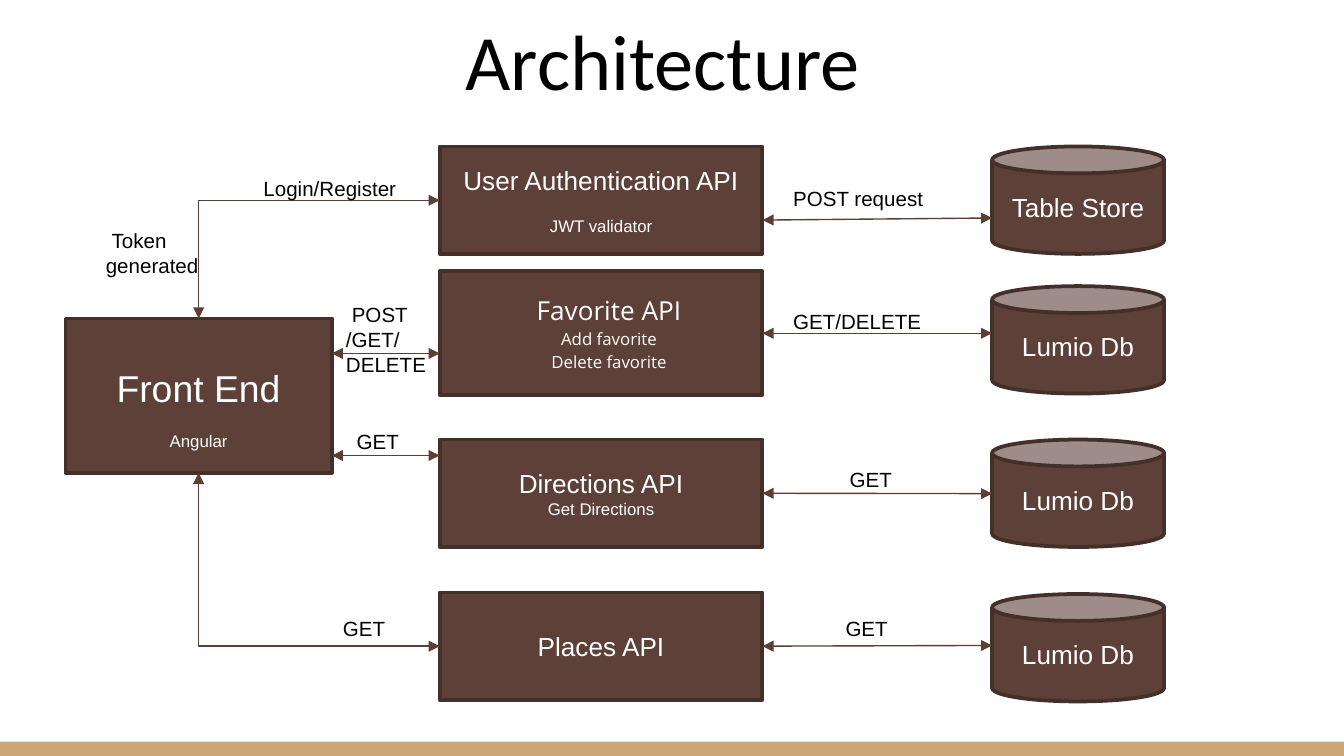
"""Build the Architecture slide: a front end, four APIs and their data stores."""
from dataclasses import dataclass

from lxml import etree
from pptx import Presentation
from pptx.dml.color import RGBColor
from pptx.enum.shapes import MSO_CONNECTOR, MSO_SHAPE
from pptx.enum.text import MSO_ANCHOR, MSO_AUTO_SIZE, PP_ALIGN
from pptx.oxml.ns import qn
from pptx.util import Cm, Pt

RECTANGLE, CAN = MSO_SHAPE.RECTANGLE, MSO_SHAPE.CAN
STRAIGHT, ELBOW = MSO_CONNECTOR.STRAIGHT, MSO_CONNECTOR.ELBOW
CENTER, LEFT_ALIGN = PP_ALIGN.CENTER, PP_ALIGN.LEFT
MIDDLE, BOTTOM, TOP_ANCHOR = MSO_ANCHOR.MIDDLE, MSO_ANCHOR.BOTTOM, MSO_ANCHOR.TOP
NO_FIT = MSO_AUTO_SIZE.NONE
TOP, LEFT, BOTTOM_SIDE, RIGHT = range(4)


@dataclass(frozen=True)
class Theme:
    fill: RGBColor = RGBColor.from_string("5D4037")
    outline: RGBColor = RGBColor.from_string("452F29")
    arrow: RGBColor = RGBColor.from_string("5C3E35")
    bar: RGBColor = RGBColor.from_string("CCA677")
    light: RGBColor = RGBColor.from_string("FFFFFF")
    dark: RGBColor = RGBColor.from_string("000000")
    title: Pt = Pt(42)
    large: Pt = Pt(20)
    heading: Pt = Pt(14)
    label: Pt = Pt(11)
    detail: Pt = Pt(9)
    body_font: str = "Arial"
    title_font: str = "Calibri"
    favorite_font: str = "Open Sans"


theme = Theme()


def add_box(kind, left, top, width, height, lines, font=theme.body_font, **spacing):
    box = page.shapes.add_shape(kind, Cm(left), Cm(top), Cm(width), Cm(height))
    box.shadow.inherit = False
    box.fill.solid()
    box.fill.fore_color.rgb = theme.fill
    box.line.color.rgb = theme.outline
    box.line.width = Pt(2)
    frame = box.text_frame
    frame.word_wrap = True
    frame.vertical_anchor = MIDDLE
    for index, (text, size) in enumerate(lines):
        para = frame.add_paragraph() if index else frame.paragraphs[0]
        para.alignment = CENTER
        if index:
            for name, value in spacing.items():
                setattr(para, name, value)
        span = para.add_run()
        span.text = text
        for name, value in {"name": font, "size": size}.items():
            setattr(span.font, name, value)
        span.font.color.rgb = theme.light
    return box


def add_arrow(kind, start_x, start_y, end_x, end_y):
    arrow = page.shapes.add_connector(kind, Cm(start_x), Cm(start_y), Cm(end_x), Cm(end_y))
    arrow.line.color.rgb = theme.arrow
    arrow.line.width = Pt(0.75)
    line = arrow.line._get_or_add_ln()
    for end in ("a:headEnd", "a:tailEnd"):
        etree.SubElement(line, qn(end), type="triangle")
    properties = arrow._element.spPr
    etree.SubElement(properties, qn("a:effectLst"))
    if kind == ELBOW:
        properties.find(qn("a:prstGeom")).set("prst", "bentConnector2")
    return arrow


deck = Presentation()
deck.slide_width, deck.slide_height = Cm(25.4), Cm(14.29)
page = deck.slides.add_slide(deck.slide_layouts[5])

bar = page.shapes.add_shape(RECTANGLE, 0, Cm(14.02), deck.slide_width, Cm(0.27))
bar.shadow.inherit = False
bar.fill.solid()
bar.fill.fore_color.rgb = theme.bar
bar.line.fill.background()

title = page.shapes.title
for name, value in {"left": 0.69, "top": -0.05, "width": 23.67, "height": 2.31}.items():
    setattr(title, name, Cm(value))
frame = title.text_frame
frame.text = "Architecture"
title_format = {"auto_size": NO_FIT, "vertical_anchor": BOTTOM}
title_format.update({f"margin_{side}": Cm(0.25) for side in ("left", "top", "right", "bottom")})
for name, value in title_format.items():
    setattr(frame, name, value)
para = frame.paragraphs[0]
para.alignment = CENTER
for name, value in {"name": theme.title_font, "size": theme.title}.items():
    setattr(para.runs[0].font, name, value)
para.runs[0].font.color.rgb = theme.dark

front_left, front_top, front_width, front_height = 1.24, 6.02, 5.03, 2.92
api_left, api_width, row_height = 8.31, 6.1, 2.03
store_left, store_width = 18.75, 3.25
front_right, api_right = front_left + front_width, api_left + api_width

front_end = add_box(RECTANGLE, front_left, front_top, front_width, front_height,
                    [("Front End", theme.large), ("Angular", theme.detail)],
                    space_before=Pt(11))
front_end.text_frame.margin_top = Cm(0.6)

authentication = add_box(RECTANGLE, api_left, 2.77, api_width, row_height,
                         [("User Authentication API", theme.heading),
                          ("JWT validator", theme.detail)], space_before=Pt(11))
favorite = add_box(RECTANGLE, api_left, 5.13, api_width, 2.34,
                   [("Favorite API", theme.heading), ("Add favorite", theme.detail),
                    ("Delete favorite", theme.detail)],
                   font=theme.favorite_font, line_spacing=1.15)
favorite.text_frame.margin_left = Cm(0.55)
directions = add_box(RECTANGLE, api_left, 8.31, api_width, row_height,
                     [("Directions API", theme.heading), ("Get Directions", theme.detail)])
places = add_box(RECTANGLE, api_left, 11.2, api_width, row_height,
                 [("Places API", theme.heading)])

for text, top in (("Table Store", 2.77), ("Lumio Db", 5.41),
                  ("Lumio Db", 8.31), ("Lumio Db", 11.23)):
    add_box(CAN, store_left, top, store_width, row_height, [(text, theme.heading)])

add_arrow(STRAIGHT, api_right, 4.16, store_left, 4.12)
for api, start_y, end_y in ((favorite, 6.3, 6.3), (directions, 9.33, 9.33),
                            (places, 12.22, 12.2)):
    add_arrow(STRAIGHT, api_right, start_y, store_left, end_y).begin_connect(api, RIGHT)

for level in (6.68, 8.61):
    add_arrow(STRAIGHT, front_right, level, api_left, level)

front_middle = front_left + front_width / 2
for api, level, side, end_y in ((authentication, 3.79, TOP, front_top),
                                (places, 12.22, BOTTOM_SIDE, front_top + front_height)):
    arrow = add_arrow(ELBOW, api_left, level, front_middle, end_y)
    arrow.begin_connect(api, LEFT)
    arrow.end_connect(front_end, side)

labels = (
    (["POST request"], 14.63, 3.4, 3.25),
    (["GET/DELETE"], 14.63, 5.72, 3.25),
    (["GET"], 15.7, 8.71, 3.25),
    (["GET"], 15.62, 11.51, 3.25),
    (["Login/Register"], 4.62, 3.2, 3.25),
    (["Token generated"], 1.75, 4.19, 3.25),
    (["POST\v/GET/", "DELETE"], 6.29, 5.59, 2.29),
    (["GET"], 6.38, 7.98, 3.25),
    (["GET"], 6.12, 11.51, 3.25),
)
for lines, left, top, width in labels:
    box = page.shapes.add_textbox(Cm(left), Cm(top), Cm(width), Cm(0.74))
    frame = box.text_frame
    for name, value in {"word_wrap": True, "vertical_anchor": TOP_ANCHOR}.items():
        setattr(frame, name, value)
    frame.text = "\n".join(lines)
    frame.paragraphs[0]._p.get_or_add_pPr().set("indent", str(Cm(0.11)))
    for para in frame.paragraphs:
        para.alignment = LEFT_ALIGN
        for span in para.runs:
            for name, value in {"name": theme.body_font, "size": theme.label}.items():
                setattr(span.font, name, value)
            span.font.color.rgb = theme.dark

deck.save("out.pptx")
